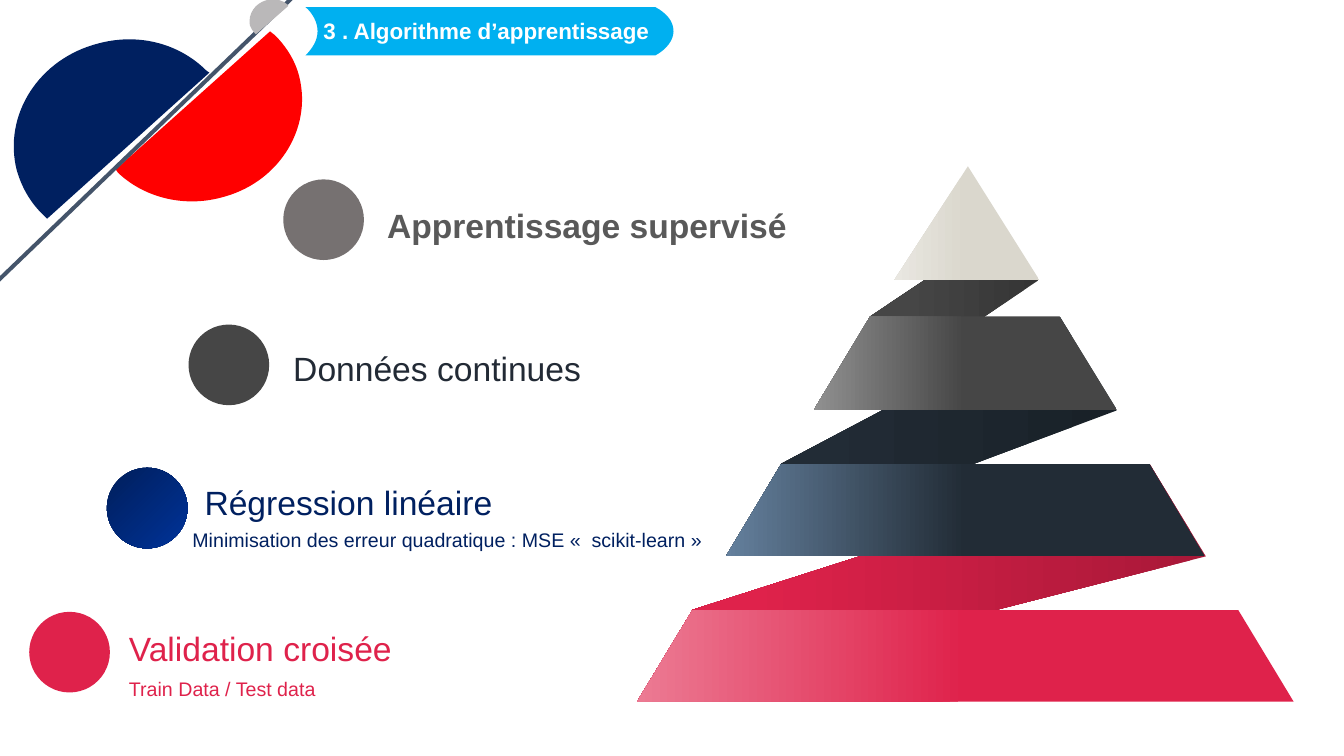
"""Builds the learning-algorithm slide: a folded pyramid with four labelled steps."""
import math
from dataclasses import dataclass

from pptx import Presentation
from pptx import util as u
from pptx.dml.color import RGBColor
from pptx.enum import shapes, text
from pptx.oxml import ns, xmlchemy

PX = 9144
DOT = 80
LABEL_WIDTH = 538


@dataclass(frozen=True)
class Theme:
    """Colours and type sizes of the slide."""
    font: str = "Arial"
    title_size: int = 16
    step_size: int = 24
    detail_size: int = 14
    white: str = "FFFFFF"
    banner: str = "00B0F0"
    navy: str = "002060"
    red: str = "FF0000"
    silver: str = "BAB8B9"
    slash: str = "44546A"
    crimson: str = "DF224B"
    charcoal: str = "464646"
    ink: str = "222A35"
    stone: str = "767171"
    heading: str = "595959"
    navy_fade: tuple = ((0, "001E5B"), (100, "003399"))
    charcoal_fold: tuple = ((0, "353535"), (80, "464646"))
    crimson_fold: tuple = ((0, "A81838"), (80, "DF224B"))
    ink_fold: tuple = ((0, "192128"), (80, "222C36"))
    crimson_tier: tuple = ((50, "DF224B"), (100, "EC7A93"))
    charcoal_tier: tuple = ((50, "464646"), (100, "909090"))
    ink_tier: tuple = ((50, "222C36"), (100, "64809D"))
    ivory_tier: tuple = ((50, "DAD7CD"), (100, "E9E7E1"))


THEME = Theme()


def px(length):
    """Turn px into EMU."""
    return u.Emu(round(length * PX))


def paint(part, colour, angle=180):
    """Fill a part with one colour or a two-stop gradient, without line or shadow."""
    part.shadow.inherit = False
    part.line.fill.background()
    if isinstance(colour, str):
        part.fill.solid()
        part.fill.fore_color.rgb = RGBColor.from_string(colour)
        return
    part.fill.gradient()
    part.fill.gradient_angle = angle
    for stop, (position, shade) in zip(part.fill.gradient_stops, colour):
        stop.position = position / 100
        stop.color.rgb = RGBColor.from_string(shade)


def turn(point, centre, degrees):
    """Turn a point clockwise about a centre."""
    angle = math.radians(degrees)
    dx, dy = point[0] - centre[0], point[1] - centre[1]
    return (centre[0] + dx * math.cos(angle) - dy * math.sin(angle),
            centre[1] + dx * math.sin(angle) + dy * math.cos(angle))


def add_outline(canvas, start, segments, colour, centre=(0, 0), rotation=0):
    """Draw a closed outline; a segment of three points is a curve, of one a line."""
    points = [start, *(point for segment in segments for point in segment)]
    first, *rest = [tuple(px(v) for v in turn(point, centre, -rotation))
                    for point in points]
    builder = canvas.build_freeform(*first, scale=1.0)
    builder.add_line_segments(rest, close=True)
    part = builder.convert_to_shape()
    part.rotation = rotation
    paint(part, colour)
    lines = iter(part.element.findall(".//" + ns.qn("a:lnTo")))
    for segment in segments:
        head, *others = [next(lines) for _ in segment]
        if others:
            curve = xmlchemy.OxmlElement("a:cubicBezTo")
            head.addprevious(curve)
            for line in (head, *others):
                curve.append(line[0])
                line.getparent().remove(line)


def add_preset(canvas, kind, left, top, width, height, colour, angle=180):
    """Draw a filled preset shape."""
    part = canvas.add_shape(kind, px(left), px(top), px(width), px(height))
    paint(part, colour, angle)
    return part


def add_label(canvas, left, top, width, height, wording, size, colour,
              bold=False, wrap=True):
    """Write one line of text."""
    frame = canvas.add_textbox(px(left), px(top), px(width), px(height)).text_frame
    frame.word_wrap = wrap
    frame.auto_size = text.MSO_AUTO_SIZE.SHAPE_TO_FIT_TEXT
    run = frame.paragraphs[0].add_run()
    run.text = wording
    run.font.name = THEME.font
    run.font.size = u.Pt(size)
    run.font.bold = bold
    run.font.color.rgb = RGBColor.from_string(colour)


def add_pyramid(canvas):
    """Draw the folds, then the tiers in front of them."""
    pieces = (
        (THEME.charcoal_fold, ((908, 360), (1030, 278), (996, 225), (863, 314))),
        (THEME.crimson_fold, ((1140, 460), (687, 605), (632, 696), (1196, 552))),
        (THEME.ink_fold, ((1051, 314), (775, 460), (720, 552), (1108, 407))),
        (THEME.crimson_tier, ((687, 605), (632, 696), (1283, 696), (1228, 605))),
        (THEME.charcoal_tier, ((1108, 407), (1051, 314), (863, 314), (807, 407))),
        (THEME.ink_tier, ((775, 460), (720, 552), (1195, 552), (1140, 460))),
        (THEME.ivory_tier, ((887, 278), (1031, 278), (960, 165))),
    )
    for colour, (start, *corners) in pieces:
        add_outline(canvas, start, [(corner,) for corner in corners], colour)


def add_steps(canvas):
    """Place the dot and wording of each step."""
    steps = (
        (29, 607, THEME.crimson, 118, 618, "Validation croisée", THEME.crimson, False),
        (106, 464, THEME.navy_fade, 193, 473, "Régression linéaire", THEME.navy, False),
        (187, 322, THEME.charcoal, 281, 340, "Données continues", THEME.ink, False),
        (281, 178, THEME.stone, 374, 198, "Apprentissage supervisé", THEME.heading, True),
    )
    for dot_x, dot_y, dot, left, top, wording, colour, bold in steps:
        add_label(canvas, left, top, LABEL_WIDTH, 50, wording, THEME.step_size, colour, bold)
        add_preset(canvas, shapes.MSO_SHAPE.OVAL, dot_x, dot_y, DOT, DOT, dot, 315)
    details = (
        (118, 667, "Train Data / Test data", THEME.crimson),
        (181, 519, "Minimisation des erreur quadratique : MSE «\u00a0 scikit-learn\u00a0»",
         THEME.navy),
    )
    for left, top, wording, colour in details:
        add_label(canvas, left, top, LABEL_WIDTH, 34, wording, THEME.detail_size, colour)


def add_corner(canvas):
    """Draw the split discs and the slash between them."""
    red_half = (((273, 35),), ((284, 46), (293, 60), (297, 76)),
                ((310, 128), (276, 182), (219, 196)),
                ((181, 206), (142, 195), (117, 171)), ((115, 168),))
    navy_half = (((42, 213),), ((30, 201), (22, 187), (17, 170)),
                 ((3, 115), (39, 59), (98, 44)),
                 ((139, 33), (179, 45), (205, 71)), ((208, 73),))
    silver_half = (((253, 31),), ((251, 29), (249, 26), (248, 23)),
                   ((246, 12), (253, 1), (265, -2)),
                   ((273, -4), (281, -2), (286, 3)), ((286, 4),))
    add_outline(canvas, (268, 31), red_half, THEME.red, (206, 123), 345.4)
    slash = add_preset(canvas, shapes.MSO_SHAPE.RECTANGLE, 167, -126, 4, 480, THEME.slash)
    slash.rotation = 46.1
    add_outline(canvas, (47, 218), navy_half, THEME.navy, (112, 120), 165.4)
    add_outline(canvas, (254, 32), silver_half, THEME.silver, (267, 14), 165.4)


def add_banner(canvas):
    """Draw the title ribbon with its wording."""
    ribbon = (((668, 21), (661, 13), (650, 7)), ((303, 7),),
              ((310, 13), (315, 22), (315, 31)),
              ((315, 40), (310, 48), (303, 55)), ((650, 55),),
              ((661, 49), (668, 40), (668, 31)))
    add_outline(canvas, (668, 31), ribbon, THEME.banner)
    add_label(canvas, 311, 12, 349, 37, "3 . Algorithme d’apprentissage",
              THEME.title_size, THEME.white, bold=True, wrap=False)


def main():
    """Build and save the slide."""
    deck = Presentation()
    deck.slide_width, deck.slide_height = px(1333), px(750)
    slide = deck.slides.add_slide(deck.slide_layouts[6])
    add_pyramid(slide.shapes.add_group_shape().shapes)
    add_steps(slide.shapes)
    add_corner(slide.shapes.add_group_shape().shapes)
    add_banner(slide.shapes)
    deck.save("out.pptx")


if __name__ == "__main__":
    main()
